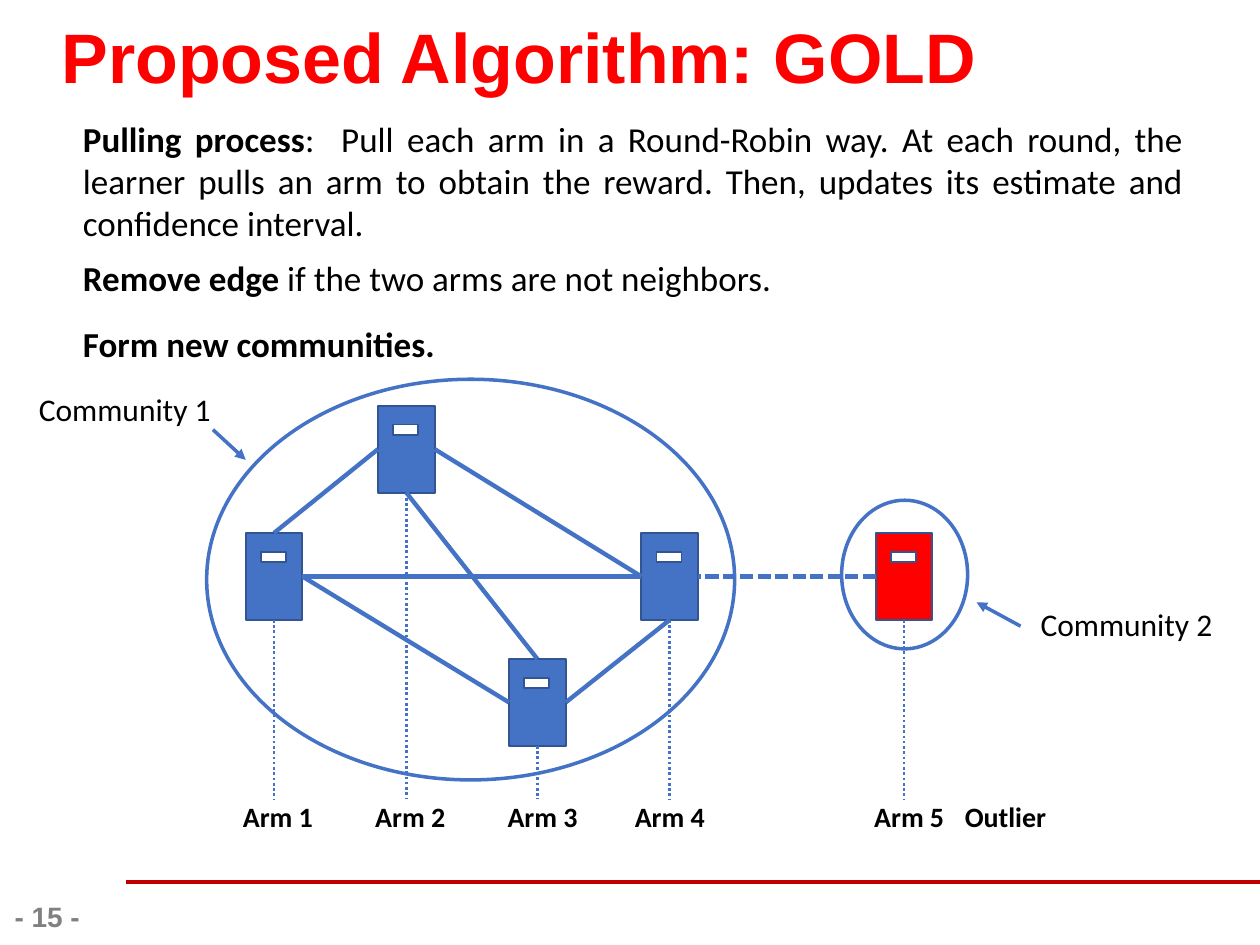
from pptx import Presentation
from pptx.dml.color import RGBColor
from pptx.enum.dml import MSO_LINE
from pptx.enum.shapes import MSO_CONNECTOR, MSO_SHAPE
from pptx.enum.text import MSO_ANCHOR, MSO_AUTO_SIZE, PP_ALIGN
from pptx.oxml import parse_xml
from pptx.oxml.ns import nsdecls
from pptx.util import Inches, Pt
from lxml.etree import SubElement
from pptx.oxml.ns import qn

color = RGBColor.from_string
TOP, LEFT, BOTTOM, RIGHT = range(4)
BLUE, OUTLINE, RED = "4472C4", "325491", "FF0000"


def add_text(frame, runs, size, font_name="Calibri", hex_color="000000", align=PP_ALIGN.LEFT):
    paragraph = frame.paragraphs[0]
    paragraph.alignment = align
    for text, bold in runs:
        run = paragraph.add_run()
        run.text = text
        for name, value in {"size": Pt(size), "name": font_name, "bold": bold}.items():
            setattr(run.font, name, value)
        run.font.color.rgb = color(hex_color)
    return paragraph


def add_line(shapes, start, end, width, hex_color=BLUE, dash=None, arrow=False):
    points = [Inches(value) for value in (*start, *end)]
    connector = shapes.add_connector(MSO_CONNECTOR.STRAIGHT, *points)
    connector.line.width = Pt(width)
    connector.line.color.rgb = color(hex_color)
    if dash:
        connector.line.dash_style = dash
    if arrow:
        SubElement(connector.line._get_or_add_ln(), qn("a:tailEnd"), type="triangle")
    SubElement(connector._element.spPr, qn("a:effectLst"))
    return connector


presentation = Presentation()
presentation.slide_width = Inches(10)
presentation.slide_height = Inches(7.5)
slide = presentation.slides.add_slide(presentation.slide_layouts[5])
shapes = slide.shapes

add_line(shapes, (1, 7), (10, 7), 2, "C00000")

title = shapes.title
title_box = {"left": 0.49, "top": 0, "width": 9, "height": 0.88}
for name, value in title_box.items():
    setattr(title, name, Inches(value))
title_format = {"margin_left": 0, "margin_top": 0, "margin_right": 0, "margin_bottom": 0,
                "vertical_anchor": MSO_ANCHOR.MIDDLE, "auto_size": MSO_AUTO_SIZE.NONE}
for name, value in title_format.items():
    setattr(title.text_frame, name, value)
heading = add_text(title.text_frame, [("Proposed Algorithm: GOLD", True)], 40, "Arial", RED)
shadow = parse_xml(
    f'<a:effectLst {nsdecls("a")}><a:outerShdw blurRad="38100" dist="38100" dir="2700000" algn="tl">'
    '<a:srgbClr val="000000"><a:alpha val="43000"/></a:srgbClr></a:outerShdw></a:effectLst>')
heading.runs[0].font._element.find(qn("a:solidFill")).addnext(shadow)

arms = []
labels = []
for number, (left, top, label_left, fill) in enumerate([
    (1.95, 4.23, 1.83, BLUE),
    (3, 3.22, 2.88, BLUE),
    (4.04, 5.23, 3.93, BLUE),
    (5.09, 4.23, 4.94, BLUE),
    (6.95, 4.23, 6.84, RED),
], start=1):
    group = shapes.add_group_shape()
    parts = []
    for x, y, width, height, part_fill in [
        (left, top, 0.45, 0.69, fill),
        (left + 0.12, top + 0.15, 0.2, 0.08, "FFFFFF"),
    ]:
        part = group.shapes.add_shape(MSO_SHAPE.RECTANGLE, Inches(x), Inches(y), Inches(width), Inches(height))
        part.shadow.inherit = False
        part.fill.solid()
        part.fill.fore_color.rgb = color(part_fill)
        part.line.color.rgb = color(OUTLINE)
        part.line.width = Pt(1)
        parts.append(part)
    arms.append(parts[0])
    center = left + 0.225
    guide = add_line(shapes, (center, top + 0.69), (center, 6.34), 1.5, dash=MSO_LINE.ROUND_DOT)
    guide.begin_connect(parts[0], BOTTOM)
    labels.append((label_left, 6.3, 0.77, 0.37, [(f"Arm {number}", True)], 16, False, PP_ALIGN.LEFT))

for start, start_side, end, end_side, dash in [
    (1, RIGHT, 3, LEFT, None),
    (2, RIGHT, 4, LEFT, None),
    (2, BOTTOM, 3, TOP, None),
    (1, RIGHT, 4, LEFT, None),
    (1, TOP, 2, LEFT, None),
    (4, BOTTOM, 3, RIGHT, None),
    (5, LEFT, 4, RIGHT, MSO_LINE.SQUARE_DOT),
]:
    edge = add_line(shapes, (0, 0), (1, 1), 2.5, dash=dash)
    edge.begin_connect(arms[start - 1], start_side)
    edge.end_connect(arms[end - 1], end_side)
    if dash:
        edge.line._get_or_add_ln().find(qn("a:prstDash")).set("val", "sysDash")

for box in [(1.64, 3.01, 4.19, 3.18), (6.68, 3.97, 1, 1.18)]:
    community = shapes.add_shape(MSO_SHAPE.OVAL, *[Inches(value) for value in box])
    community.shadow.inherit = False
    community.fill.background()
    community.line.color.rgb = color(BLUE)
    community.line.width = Pt(2)

add_line(shapes, (1.69, 3.41), (1.95, 3.65), 2, arrow=True)
add_line(shapes, (8.1, 4.97), (7.75, 4.78), 2, arrow=True)

pulling = [
    ("Pulling process", True),
    (":  Pull each arm in a Round-Robin way. At each round, the learner pulls an arm to obtain "
     "the reward. Then, updates its estimate and confidence interval.", False),
]
removing = [("Remove edge ", True), ("if the two arms are not neighbors.", False)]
for left, top, width, height, runs, size, wrap, align in [
    (0.56, 0.88, 8.93, 1.11, pulling, 20, True, PP_ALIGN.JUSTIFY),
    (0.56, 1.99, 5.8, 0.44, removing, 20, False, PP_ALIGN.LEFT),
    (0.56, 2.51, 3.11, 0.44, [("Form new communities.", True)], 20, False, PP_ALIGN.LEFT),
    (0.21, 3.05, 1.58, 0.4, [("Community 1", False)], 18, True, PP_ALIGN.LEFT),
    (8.16, 4.75, 1.58, 0.4, [("Community 2", False)], 18, True, PP_ALIGN.LEFT),
    *labels,
    (7.56, 6.3, 1.63, 0.37, [("Outlier", True)], 16, True, PP_ALIGN.LEFT),
]:
    text_box = shapes.add_textbox(Inches(left), Inches(top), Inches(width), Inches(height))
    text_box.text_frame.word_wrap = wrap
    add_text(text_box.text_frame, runs, size, align=align)

page_number = shapes.add_textbox(Inches(0), Inches(7.09), Inches(0.75), Inches(0.41))
page_number.text_frame.word_wrap = False
add_text(page_number.text_frame, [("- 15 -", True)], 16, "Arial", "808080", PP_ALIGN.CENTER)

presentation.save("out.pptx")
